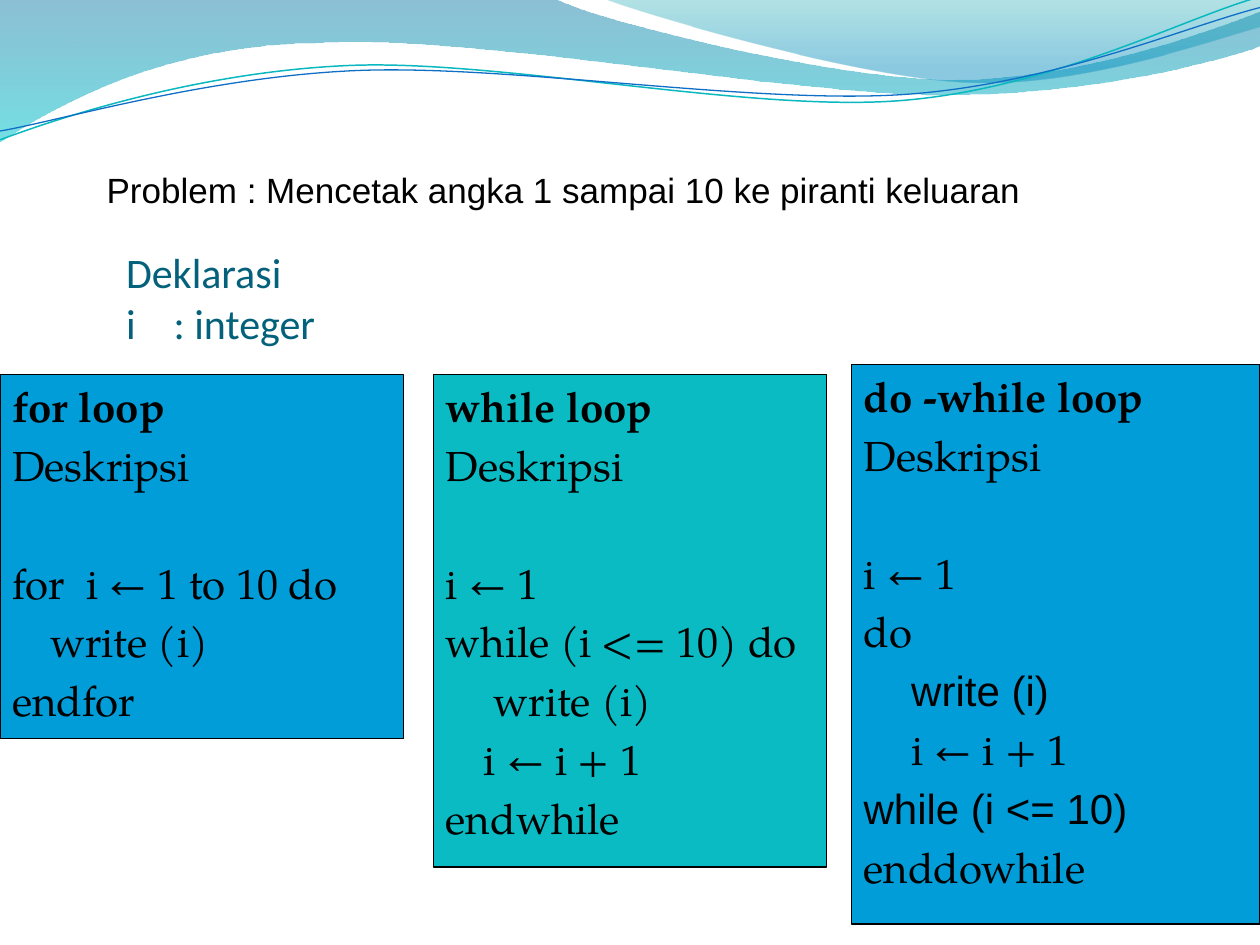
from math import cos, radians, sin

from lxml.etree import SubElement, fromstring
from pptx import Presentation
from pptx.dml.color import RGBColor
from pptx.enum.shapes import MSO_SHAPE as Preset
from pptx.enum.text import MSO_ANCHOR as Anchor, MSO_AUTO_SIZE as AutoSize, PP_ALIGN as Align
from pptx.oxml.ns import nsdecls, qn
from pptx.util import Cm, Pt

CM_PER_INCH = 2.54
CODE_FONT = "TeX Gyre Pagella"
BLUE, TEAL = "009DD9", "0ABBC3"


def color(value):
    return RGBColor.from_string(value)


def place(x, y, tilt):
    angle = radians(-tilt)
    dx, dy = x - 4.99, y - 0.58
    return (Cm(CM_PER_INCH * (4.99 + dx * cos(angle) - dy * sin(angle))),
            Cm(CM_PER_INCH * (0.58 + dx * sin(angle) + dy * cos(angle))))


class Slide:
    size = 24
    gap = 4.8
    line_pitch = 33.6

    def __init__(self, deck):
        self.page = deck.slides.add_slide(deck.slide_layouts[5])
        self.shapes = self.page.shapes

    def style(self, para, text, size, font, ink="000000", bold=False):
        para.text = text
        para.alignment = Align.LEFT
        para.font.size = Pt(size)
        para.font.name = font
        para.font.bold = bold
        para.font.color.rgb = color(ink)

    def outline(self, start, segments, close, tilt=0):
        builder = self.shapes.build_freeform(*place(*start, tilt), scale=1.0)
        builder.add_line_segments([place(*segment[-2:], tilt) for segment in segments], close=close)
        shape = builder.convert_to_shape()
        shape.shadow.inherit = False
        left, top = shape.left, shape.top
        lines = list(shape._element.spPr.iter(qn("a:lnTo")))
        for line, segment in zip(lines, segments):
            if len(segment) == 2:
                continue
            curve = fromstring(f'<a:cubicBezTo {nsdecls("a")}/>')
            for x, y in zip(segment[::2], segment[1::2]):
                x, y = place(x, y, tilt)
                SubElement(curve, qn("a:pt"), x=str(x - left), y=str(y - top))
            line.getparent().replace(line, curve)
        shape.rotation = tilt
        return shape

    def wave(self, start, segments, stops):
        shape = self.outline(start, segments, True)
        shape.line.fill.background()
        marks = "".join(
            f'<a:gs pos="{position * 1000}"><a:srgbClr val="{tint}">'
            f'<a:alpha val="{opacity * 1000}"/></a:srgbClr></a:gs>'
            for position, tint, opacity in stops)
        gradient = fromstring(
            f'<a:gradFill {nsdecls("a")} rotWithShape="1"><a:gsLst>{marks}</a:gsLst>'
            '<a:lin ang="5400000" scaled="0"/></a:gradFill>')
        shape._element.spPr.find(qn("a:custGeom")).addnext(gradient)

    def strand(self, start, segments, ink, width):
        shape = self.outline(start, segments, False, tilt=357.3 - 360)
        shape.fill.background()
        shape.line.color.rgb = color(ink)
        shape.line.width = Pt(width)

    def title(self, left, top, width, height, text, tab):
        box = self.shapes.title
        box.left, box.top, box.width, box.height = Cm(left), Cm(top), Cm(width), Cm(height)
        frame = box.text_frame
        frame.auto_size = AutoSize.NONE
        frame.vertical_anchor = Anchor.BOTTOM
        frame.margin_left = frame.margin_right = frame.margin_bottom = 0
        para = frame.paragraphs[0]
        self.style(para, text, self.size, "Calibri", "04617B")
        stops = SubElement(para._p.get_or_add_pPr(), qn("a:tabLst"))
        para._p.pPr.find(qn("a:defRPr")).addprevious(stops)
        SubElement(stops, qn("a:tab"), pos=str(Cm(tab)), algn="l")

    def caption(self, left, top, width, height, text):
        box = self.shapes.add_textbox(Cm(left), Cm(top), Cm(width), Cm(height))
        box.text_frame.word_wrap = True
        box.text_frame.vertical_anchor = Anchor.MIDDLE
        self.style(box.text_frame.paragraphs[0], text, 20, "Arial")

    def code(self, left, top, width, height, fill, heading, lines):
        box = self.shapes.add_shape(Preset.RECTANGLE, Cm(left), Cm(top), Cm(width), Cm(height))
        box.shadow.inherit = False
        box.fill.solid()
        box.fill.fore_color.rgb = color(fill)
        box.line.color.rgb = color("000000")
        box.line.width = Pt(0.75)
        frame = box.text_frame
        frame.word_wrap = True
        frame.vertical_anchor = Anchor.TOP
        rows = [(heading, 0, CODE_FONT), ("Deskripsi", 0, CODE_FONT), *lines]
        for number, (text, indent, font) in enumerate(rows):
            para = frame.add_paragraph() if number else frame.paragraphs[0]
            self.style(para, text, self.size, font, bold=number == 0)
            para.space_before = Pt(self.gap + (self.line_pitch if number == 2 else 0))
            para._p.get_or_add_pPr().set("marL", str(Cm(indent)))


deck = Presentation()
deck.slide_width, deck.slide_height = Cm(25.4), Cm(19.05)
slide = Slide(deck)

slide.wave((0, -0.01), [
    (4.4, -0.01),
    (4.76, 0.17, 6.64, 0.63, 7.58, 0.63),
    (8.53, 0.63, 9.58, 0.26, 10, 0.09),
    (10.01, 0.36),
    (9.83, 0.44, 8.7, 0.76, 7.46, 0.75),
    (6.22, 0.75, 3.82, 0.28, 2.57, 0.34),
    (1.29, 0.35, 0.46, 0.83, -0.01, 1.13),
], [(0, "0074A1", 45), (100, "00C6CF", 55)])
slide.wave((4.79, -0.01), [
    (5.09, 0.11, 6.82, 0.62, 7.69, 0.65),
    (8.56, 0.69, 9.61, 0.32, 10, 0.21),
    (10, 0),
], [(0, "00A1A9", 30), (80, "008BBF", 45)])
slide.strand((0, 1.11), [
    (0.48, 0.93, 1.58, 0.57, 2.77, 0.52),
    (3.95, 0.47, 5.93, 0.89, 7.13, 0.8),
    (8.33, 0.71, 9.38, 0.15, 9.98, -0.02),
], "0AB8BF", 0.85)
slide.strand((0, 1.04), [
    (0.47, 0.96, 1.64, 0.61, 2.83, 0.56),
    (4.03, 0.51, 5.97, 0.83, 7.17, 0.75),
    (8.36, 0.67, 9.41, 0.21, 10, 0.06),
], "0F6FC6", 0.75)

slide.title(2.54, 4.7, 8.79, 2.31, "Deklarasi\vi\t: integer", 0.96)
slide.code(0, 7.55, 8.13, 7.34, BLUE, "for loop", [
    ("for  i ← 1 to 10 do", 0, CODE_FONT),
    ("write (i)", 0.76, CODE_FONT),
    ("endfor", 0, CODE_FONT),
])
slide.code(8.74, 7.55, 7.92, 9.93, TEAL, "while loop", [
    ("i ← 1", 0, CODE_FONT),
    ("while (i <= 10) do", 0, CODE_FONT),
    ("write (i)", 0.96, CODE_FONT),
    ("i ← i + 1", 0.76, CODE_FONT),
    ("endwhile", 0, CODE_FONT),
])
slide.code(17.16, 7.35, 8.24, 11.28, BLUE, "do -while loop", [
    ("i ← 1", 0, CODE_FONT),
    ("do", 0, CODE_FONT),
    ("write (i)", 0.96, "Arial"),
    ("i ← i + 1", 0.96, CODE_FONT),
    ("while (i <= 10)", 0, "Arial"),
    ("enddowhile", 0, CODE_FONT),
])
slide.caption(1.9, 3.27, 19.63, 1.12, "Problem : Mencetak angka 1 sampai 10 ke piranti keluaran")

deck.save("out.pptx")
